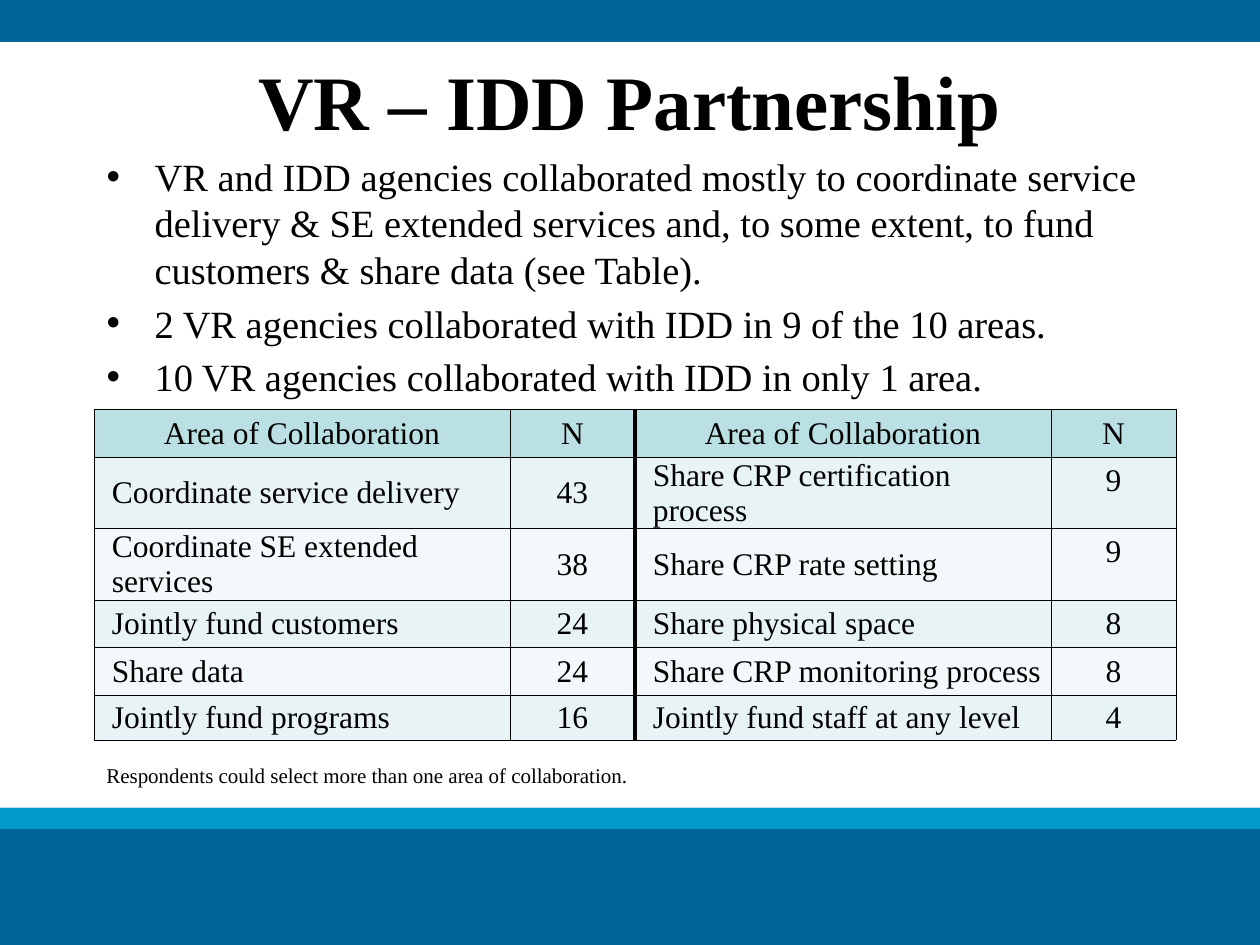
from dataclasses import dataclass

from lxml import etree
from pptx import Presentation
from pptx.dml.color import RGBColor
from pptx.enum.shapes import MSO_SHAPE
from pptx.enum.text import MSO_ANCHOR, MSO_AUTO_SIZE, PP_ALIGN
from pptx.oxml.ns import qn
from pptx.util import Emu, Pt

RECT = MSO_SHAPE.RECTANGLE
TOP, MIDDLE = MSO_ANCHOR.TOP, MSO_ANCHOR.MIDDLE
LEFT, CENTER = PP_ALIGN.LEFT, PP_ALIGN.CENTER
FIXED = MSO_AUTO_SIZE.NONE
SCALE = 914400 / 126


@dataclass(frozen=True)
class Theme:
    font: str = "Times New Roman"
    ink: str = "000000"
    navy: str = "006699"
    sky: str = "0099CC"
    head: str = "BBE0E3"
    odd: str = "E7F3F4"
    even: str = "F3F9FA"
    title: int = 44
    body: int = 22
    cell: int = 18
    note: int = 12
    thin: float = 0.25
    thick: float = 2.25


@dataclass(frozen=True)
class Box:
    x: int
    y: int
    w: int
    h: int


@dataclass(frozen=True)
class Band:
    box: Box
    color: str


@dataclass(frozen=True)
class Row:
    height: int
    fill: str
    texts: tuple
    last: MSO_ANCHOR = MIDDLE


THEME = Theme()
BANDS = (
    Band(Box(0, 808, 1260, 137), THEME.navy),
    Band(Box(0, 808, 1260, 21), THEME.sky),
    Band(Box(0, 0, 1260, 42), THEME.navy),
)
POINTS = (
    "VR and IDD agencies collaborated mostly to coordinate service delivery "
    "& SE extended services and, to some extent, to fund customers & share "
    "data (see Table).",
    "2 VR agencies collaborated with IDD in 9 of the 10 areas.",
    "10 VR agencies collaborated with IDD in only 1 area.",
)
COLS = (416, 125) * 2
ROWS = (
    Row(48, THEME.head, ("Area of Collaboration", "N") * 2),
    Row(71, THEME.odd, ("Coordinate service delivery", "43",
                        "Share CRP certification\nprocess", "9"), TOP),
    Row(72, THEME.even, ("Coordinate SE extended\nservices", "38",
                         "Share CRP rate setting", "9"), TOP),
    Row(47, THEME.odd, ("Jointly fund customers", "24", "Share physical space", "8")),
    Row(48, THEME.even, ("Share data", "24", "Share CRP monitoring process", "8")),
    Row(45, THEME.odd, ("Jointly fund programs", "16",
                        "Jointly fund staff at any level", "4")),
)


def px(n: int) -> Emu:
    return Emu(round(n * SCALE))


def area(box: Box) -> tuple:
    return px(box.x), px(box.y), px(box.w), px(box.h)


def place(shape, box: Box) -> None:
    shape.left, shape.top, shape.width, shape.height = area(box)


def style(frame, size: int, align: PP_ALIGN = LEFT, bold: bool = False) -> None:
    for para in frame.paragraphs:
        para.alignment = align
        for run in para.runs:
            font = run.font
            font.name, font.size, font.bold = THEME.font, Pt(size), bold
            font.color.rgb = RGBColor.from_string(THEME.ink)


def draw_band(slide, band: Band, depth: int) -> None:
    shape = slide.shapes.add_shape(RECT, *area(band.box))
    shape.shadow.inherit = False
    shape.fill.solid()
    shape.fill.fore_color.rgb = RGBColor.from_string(band.color)
    shape.line.fill.background()
    slide.shapes._spTree.insert(2 + depth, shape._element)


def draw_title(slide, text: str) -> None:
    title = slide.shapes.title
    place(title, Box(94, 21, 1071, 158))
    frame = title.text_frame
    frame.text = text
    frame.vertical_anchor, frame.auto_size = MIDDLE, FIXED
    style(frame, THEME.title, CENTER, True)


def draw_list(slide, points: tuple) -> None:
    body = slide.placeholders[1]
    place(body, Box(94, 147, 1113, 262))
    frame = body.text_frame
    frame.text = "\n".join(points)
    frame.auto_size = FIXED
    for i, para in enumerate(frame.paragraphs):
        props = para._p.get_or_add_pPr()
        props.set("marL", str(px(48)))
        props.set("indent", str(-px(48)))
        etree.SubElement(props, qn("a:buChar")).set("char", "•")
        para.space_before = Pt(4.4 if i else 0)
    style(frame, THEME.body)


def edge(cell, col: int) -> None:
    """Thin borders, with a thick rule between the two halves."""
    props = cell._tc.get_or_add_tcPr()
    for side in "LRTB":
        middle = (col, side) in ((1, "R"), (2, "L"))
        line = etree.SubElement(props, qn("a:ln" + side))
        line.set("w", str(Pt(THEME.thick if middle else THEME.thin)))
        fill = etree.SubElement(line, qn("a:solidFill"))
        etree.SubElement(fill, qn("a:srgbClr")).set("val", THEME.ink)


def draw_cell(cell, row: Row, col: int, head: bool) -> None:
    edge(cell, col)
    cell.fill.solid()
    cell.fill.fore_color.rgb = RGBColor.from_string(row.fill)
    label = col % 2 == 0 and not head
    anchor = row.last if col == 3 else MIDDLE
    cell.vertical_anchor = anchor
    cell.margin_left = px(18 if label else 1)
    cell.margin_right = px(1)
    cell.margin_top = px(6 if anchor == TOP else 1)
    cell.margin_bottom = px(0)
    cell.text_frame.text = row.texts[col]
    style(cell.text_frame, THEME.cell, LEFT if label else CENTER)


def draw_table(slide) -> None:
    box = Box(94, 409, sum(COLS), sum(row.height for row in ROWS))
    table = slide.shapes.add_table(len(ROWS), len(COLS), *area(box)).table
    table.first_row = table.horz_banding = False
    for i, width in enumerate(COLS):
        table.columns[i].width = px(width)
    for i, row in enumerate(ROWS):
        table.rows[i].height = px(row.height)
        for col in range(len(COLS)):
            draw_cell(table.cell(i, col), row, col, i == 0)


def draw_note(slide, text: str) -> None:
    frame = slide.shapes.add_textbox(*area(Box(94, 756, 766, 38))).text_frame
    frame.word_wrap = True
    frame.text = text
    style(frame, THEME.note)


def main() -> None:
    deck = Presentation()
    deck.slide_width, deck.slide_height = px(1260), px(945)
    slide = deck.slides.add_slide(deck.slide_layouts[1])
    # Background bands
    for depth, band in enumerate(BANDS):
        draw_band(slide, band, depth)
    # Title and findings
    draw_title(slide, "VR – IDD Partnership")
    draw_list(slide, POINTS)
    # Collaboration counts and footnote
    draw_table(slide)
    draw_note(slide, "Respondents could select more than one area of collaboration.")
    deck.save("out.pptx")


if __name__ == "__main__":
    main()
